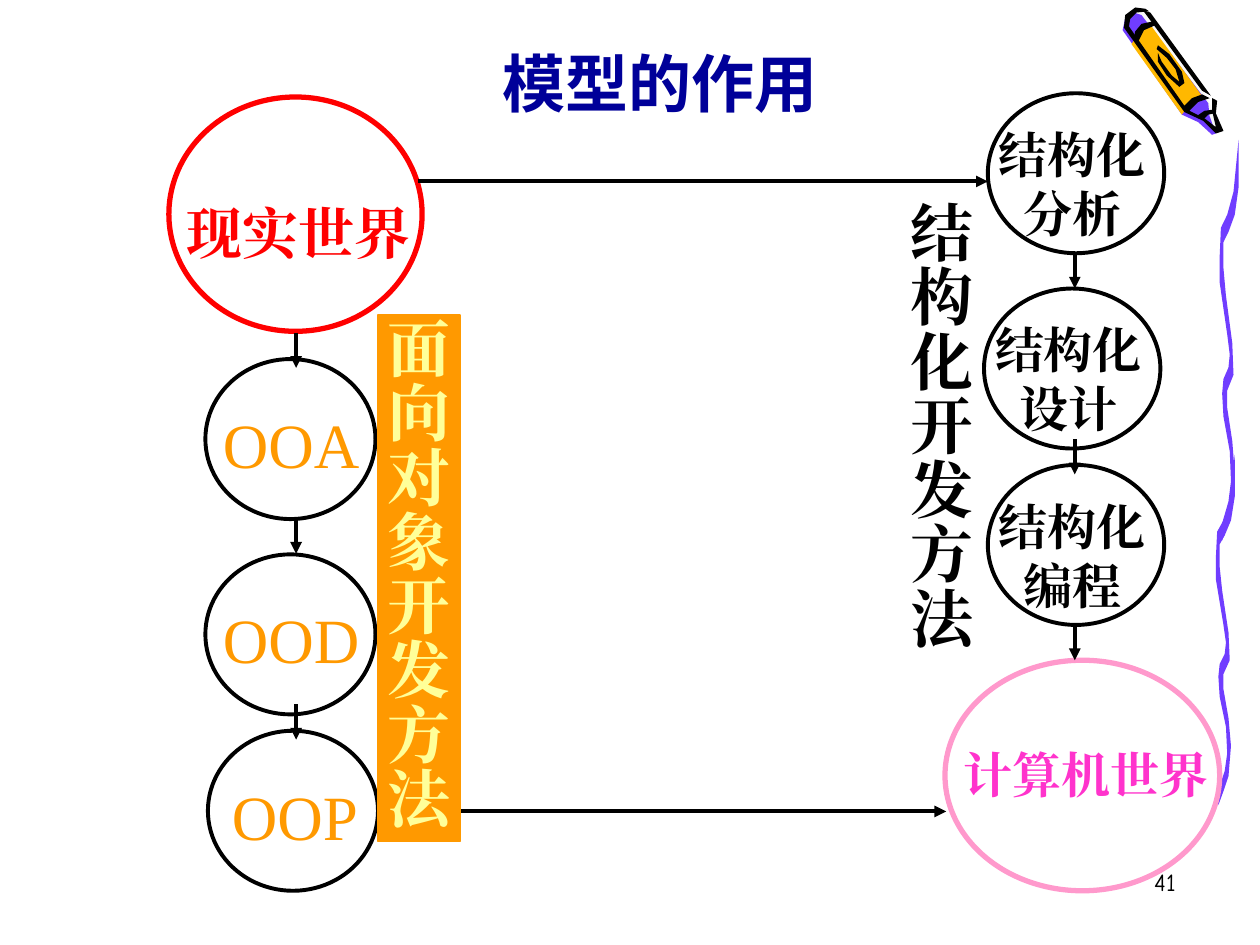
from lxml.etree import SubElement
from pptx import Presentation
from pptx.dml.color import RGBColor
from pptx.enum.shapes import MSO_CONNECTOR as Connector, MSO_SHAPE as Shape
from pptx.enum.text import MSO_ANCHOR as Anchor, MSO_AUTO_SIZE as AutoSize, PP_ALIGN as Align
from pptx.oxml.ns import qn
from pptx.util import Inches, Pt

BLACK, ORANGE, PURPLE = "000000", "FF9900", "703DFF"

RIBBON = [
    (9.66, 6.3), (9.72, 6.12), (9.74, 5.98), (9.73, 5.77), (9.68, 5.53), (9.67, 5.37),
    (9.68, 5.27), (9.72, 5.19), (9.73, 5.1), (9.71, 4.96), (9.65, 4.6), (9.65, 4.42),
    (9.66, 4.22), (9.71, 4.13), (9.76, 3.97), (9.8, 3.61), (9.8, 3.94), (9.77, 4.13),
    (9.72, 4.25), (9.68, 4.32), (9.68, 4.5), (9.7, 4.69), (9.75, 5.02), (9.76, 5.24),
    (9.71, 5.35), (9.71, 5.47), (9.75, 5.7), (9.77, 5.92), (9.75, 6.16), (9.71, 6.28),
    (9.67, 6.39),
]
CRAYON = [
    ("F8F8F8", [(9.68, 1.02), (9.63, 0.88), (9.52, 0.66), (9.09, 0.09), (9.02, 0.07),
                (8.96, 0.12), (8.94, 0.22), (9.41, 0.88), (9.56, 0.95), (9.66, 1.04)]),
    (PURPLE, [(9.06, 0.12), (9.59, 0.82), (9.6, 0.92), (9.65, 1.06), (9.62, 1.07),
              (9.51, 0.97), (9.38, 0.91), (8.91, 0.24), (8.93, 0.15), (9, 0.1)]),
    ("FFB800", [(8.98, 0.35), (9.38, 0.91), (9.46, 0.81), (9.56, 0.79), (9.14, 0.21),
                (9.05, 0.25)]),
    (BLACK, [(9.63, 0.87), (9.56, 0.88), (9.5, 0.92), (9.56, 0.94), (9.59, 0.91),
             (9.64, 0.9)]),
    (BLACK, [(9.09, 0.07), (9.01, 0.06), (8.93, 0.12), (8.92, 0.22), (9.4, 0.89),
             (9.55, 0.96), (9.65, 1.06), (9.71, 1.04), (9.65, 0.9), (9.66, 0.8),
             (9.62, 0.78), (9.62, 0.88), (9.65, 1.01), (9.56, 0.94), (9.44, 0.88),
             (9.51, 0.81), (9.6, 0.78), (9.54, 0.75), (9.46, 0.78), (9.4, 0.84),
             (8.96, 0.21), (8.97, 0.15), (9.02, 0.1), (9.12, 0.09)]),
    (BLACK, [(9.13, 0.1), (9.61, 0.76), (9.54, 0.72), (9.07, 0.08)]),
    (BLACK, [(9.15, 0.17), (9.06, 0.19), (9.01, 0.25), (9, 0.3), (9.03, 0.34),
             (9.08, 0.24), (9.17, 0.2)]),
    (BLACK, [(9.18, 0.39), (9.26, 0.46), (9.33, 0.55), (9.36, 0.65), (9.3, 0.6),
             (9.22, 0.49), (9.19, 0.42), (9.19, 0.49), (9.26, 0.6), (9.36, 0.69),
             (9.4, 0.66), (9.38, 0.57), (9.28, 0.43), (9.19, 0.36)]),
]


def color(value):
    return RGBColor.from_string(value)


def style(shape, fill=None, line=None, width=1.0):
    shape.shadow.inherit = False
    if fill:
        shape.fill.solid()
        shape.fill.fore_color.rgb = color(fill)
    else:
        shape.fill.background()
    if line:
        shape.line.color.rgb = color(line)
        shape.line.width = Pt(width)
    else:
        shape.line.fill.background()


def write(shape, text, *, size, fill, font="Cambria", bold=True, align=Align.CENTER,
          spacing=None, wrap=False, anchor=Anchor.TOP):
    """Fill a shape with text, one paragraph for each line."""
    frame = shape.text_frame
    frame.text = text
    frame.word_wrap = wrap
    frame.auto_size = AutoSize.NONE
    frame.vertical_anchor = anchor
    for paragraph in frame.paragraphs:
        paragraph.alignment = align
        paragraph.space_before = Pt(0)
        if spacing:
            paragraph.line_spacing = spacing
        for run in paragraph.runs:
            run.font.size = Pt(size)
            run.font.bold = bold
            run.font.color.rgb = color(fill)
            run.font.name = font
            SubElement(run.font._element, qn("a:ea"), typeface=font)


def add_outline(slide, points, fill):
    corners = [(Inches(x), Inches(y)) for x, y in points]
    builder = slide.shapes.build_freeform(*corners[0])
    builder.add_line_segments(corners[1:])
    style(builder.convert_to_shape(), fill)


def add_label(slide, text, left, top, width, height, **text_format):
    box = slide.shapes.add_textbox(*map(Inches, (left, top, width, height)))
    write(box, text, **text_format)


def add_circle(slide, left, top, width, height, line=BLACK, weight=2.25):
    circle = slide.shapes.add_shape(Shape.OVAL, *map(Inches, (left, top, width, height)))
    style(circle, line=line, width=weight)


def add_vertical_banner(slide, text, left, top, width, height, text_color, fill, line=None):
    banner = slide.shapes.add_shape(Shape.RECTANGLE, *map(Inches, (left, top, width, height)))
    style(banner, fill, line)
    write(banner, "\n".join(text), size=36, fill=text_color, spacing=0.85)


def add_arrow(slide, *ends):
    arrow = slide.shapes.add_connector(Connector.STRAIGHT, *map(Inches, ends))
    arrow.line.color.rgb = color(BLACK)
    arrow.line.width = Pt(2.25)
    SubElement(arrow.line._get_or_add_ln(), qn("a:tailEnd"), type="triangle")
    SubElement(arrow._element.spPr, qn("a:effectLst"))


def add_decoration(slide):
    add_outline(slide, RIBBON, PURPLE)
    stretch = 3.18 / 2.78
    add_outline(slide, [(x + 0.03, 1.11 + (y - 3.61) * stretch) for x, y in RIBBON], PURPLE)
    for fill, points in CRAYON:
        add_outline(slide, points, fill)


def add_title(slide, text):
    title = slide.shapes.title
    title.left, title.top, title.width, title.height = map(Inches, (0.24, 0.25, 10, 0.75))
    write(title, text, size=36, fill="000099", font="Comic Neue", wrap=True,
          anchor=Anchor.BOTTOM)


def add_worlds(slide):
    add_label(slide, "计算机世界", 7.55, 5.67, 2.14, 0.76, size=28, fill="FF33CC", spacing=1.4)
    add_label(slide, "现实世界", 1.38, 1.31, 1.98, 0.85, size=32, fill="FF0000", spacing=1.4)
    add_circle(slide, 1.34, 0.77, 2.01, 1.86, "FF0000", 3)
    add_circle(slide, 7.5, 5.24, 2.18, 1.83, "FF99CC", 3)


def add_structured_steps(slide):
    steps = [("分析", 7.84, 0.74), ("设计", 7.81, 2.29), ("编程", 7.84, 3.69)]
    for step, left, top in steps:
        add_circle(slide, left, top, 1.4, 1.27)
        add_label(slide, f"结构化\n{step}", left - 0.01, top + 0.2, 1.36, 1.04,
                  size=28, fill=BLACK)


def add_object_steps(slide):
    steps = [("OOA", 1.63, 2.85, 2.31), ("OOD", 1.63, 4.4, 2.31), ("OOP", 1.65, 5.8, 2.34)]
    for step, left, top, center in steps:
        add_circle(slide, left, top, 1.35, 1.27)
        add_label(slide, step, center - 0.64, top + 0.32, 1.28, 0.7, size=36, fill=ORANGE,
                  font="Times New Roman", bold=False)


def add_arrows(slide):
    add_arrow(slide, 3.32, 1.44, 7.84, 1.44)
    add_arrow(slide, 3, 6.44, 7.51, 6.44)
    for x, first_top in ((8.53, 2.01), (2.35, 2.64)):
        for index in range(3):
            top = first_top + index * 1.475
            add_arrow(slide, x, top, x, top + 0.28)


def main():
    presentation = Presentation()
    presentation.slide_width, presentation.slide_height = Inches(10), Inches(7.5)
    slide = presentation.slides.add_slide(presentation.slide_layouts[5])
    add_decoration(slide)
    add_title(slide, "模型的作用")
    add_label(slide, "41", 7.35, 6.83, 2.08, 0.5, size=14, fill=BLACK, font="Comic Neue",
              bold=False, align=Align.RIGHT, wrap=True)
    add_worlds(slide)
    add_vertical_banner(slide, "结构化开发方法", 7.13, 1.58, 0.7, 3.67, BLACK, "FFFFFF")
    add_structured_steps(slide)
    add_object_steps(slide)
    add_arrows(slide)
    add_vertical_banner(slide, "面向对象开发方法", 3, 2.5, 0.65, 4.18, "FFFF99", ORANGE, ORANGE)
    presentation.save("out.pptx")


if __name__ == "__main__":
    main()
